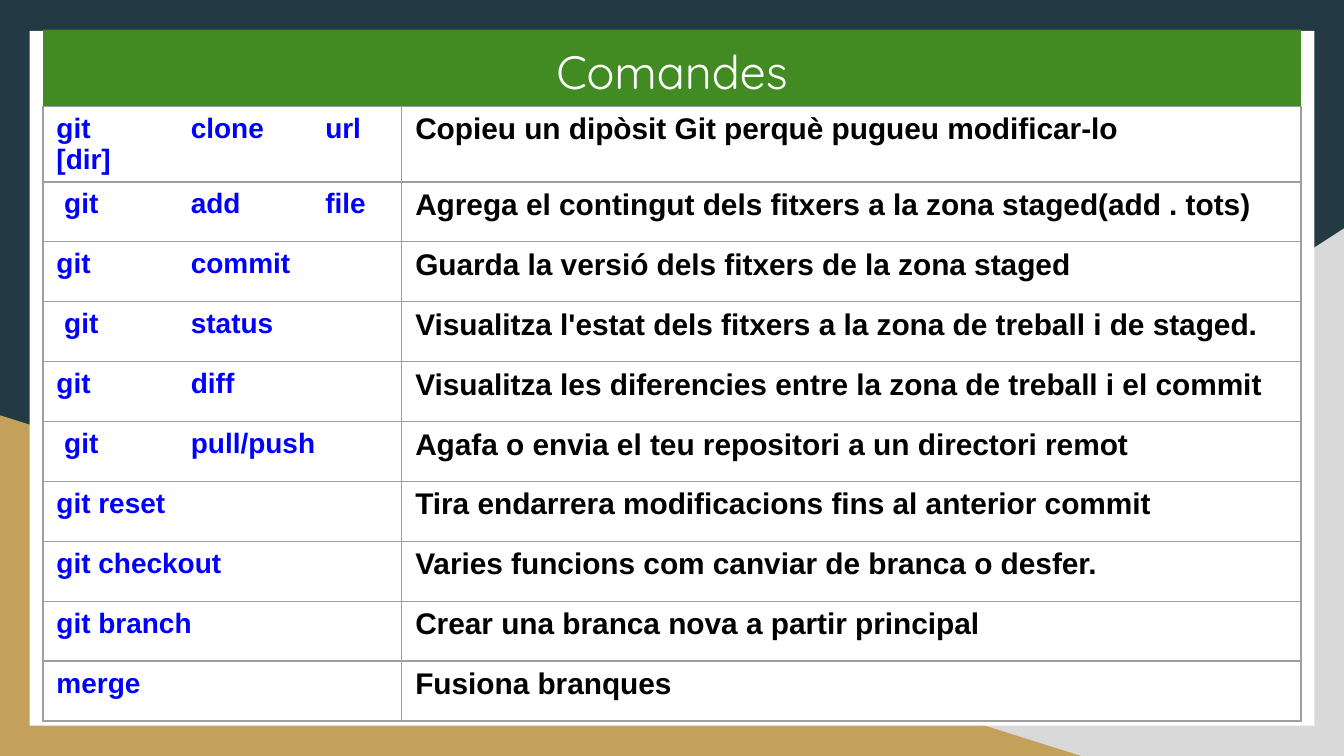
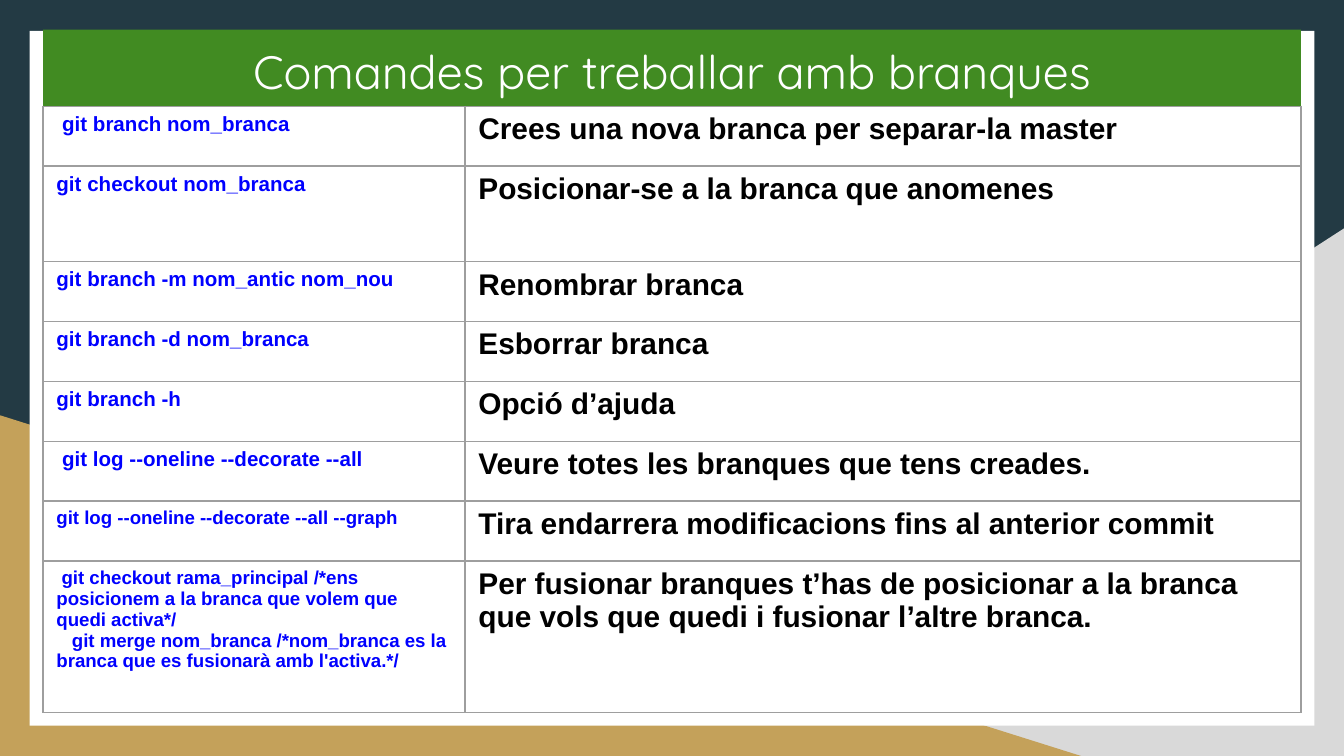
from pptx import Presentation
from pptx.dml.color import RGBColor
from pptx.enum import shapes, text
from pptx.oxml import parse_xml
from pptx.oxml.ns import nsdecls
from pptx.util import Inches, Pt

NAVY, GREY, GOLD, WHITE = "233A44", "D9D9D9", "C4A15A", "FFFFFF"
GREEN, BLUE, BLACK, BORDER = "418B22", "0000FF", "000000", "9E9E9E"
TITLE_FONT, TABLE_FONT = "Quicksand", "Arial"

LEFT, TITLE_TOP, WIDTH, TITLE_HEIGHT = 0.32, 0.22, 9.36, 0.57
ROW_HEIGHT = 4.46 / 10
DESCRIPTION_SIZE = 16

TRIANGLE = shapes.MSO_SHAPE.RIGHT_TRIANGLE
# preset, (left, top, width, height), colour, mirrored
BACKDROP = [
    (TRIANGLE, (3.92, 1.7, 6.08, 3.93), GREY, True),
    (TRIANGLE, (0, 3.09, 8.06, 2.54), GOLD, False),
    (shapes.MSO_SHAPE.RECTANGLE, (0.22, 0.23, 9.56, 5.17), WHITE, False),
]

# "sizes" and "heights" list only the rows that differ from the usual ones
SLIDES = [
    {
        "title": "Comandes",
        "command_width": 2.67,
        "command_size": 15,
        "sizes": {},
        "heights": {},
        "rows": [
            ("git\tclone\turl\t[dir]", "Copieu un dipòsit Git perquè pugueu modificar-lo"),
            (" git\tadd\tfile", "Agrega el contingut dels fitxers a la zona staged(add . tots)"),
            ("git\tcommit", "Guarda la versió dels fitxers de la zona staged"),
            (" git\tstatus", "Visualitza l'estat dels fitxers a la zona de treball i de staged."),
            ("git\tdiff", "Visualitza les diferencies entre la zona de treball i el commit"),
            (" git\tpull/push", "Agafa o envia el teu repositori a un directori remot"),
            ("git reset", "Tira endarrera modificacions fins al anterior commit"),
            ("git checkout", "Varies funcions com canviar de branca o desfer."),
            ("git branch", "Crear una branca nova a partir principal"),
            ("merge", "Fusiona branques"),
        ],
    },
    {
        "title": "Comandes per treballar amb branques",
        "command_width": 3.14,
        "command_size": 11,
        "sizes": {6: 10, 7: 10},
        "heights": {1: 0.71, 7: 1.13},
        "rows": [
            (" git branch nom_branca", "Crees una nova branca per separar-la master"),
            ("git checkout nom_branca", "Posicionar-se a la branca que anomenes"),
            ("git branch -m nom_antic nom_nou", "Renombrar branca"),
            ("git branch -d nom_branca", "Esborrar branca"),
            ("git branch -h", "Opció d’ajuda"),
            (" git log --oneline --decorate --all", "Veure totes les branques que tens creades."),
            ("git log --oneline --decorate --all --graph",
             "Tira endarrera modificacions fins al anterior commit"),
            (" git checkout rama_principal /*ens posicionem a la branca que volem que quedi activa*/\n"
             "   git merge nom_branca /*nom_branca es la branca que es fusionarà amb l'activa.*/",
             "Per fusionar branques t’has de posicionar a la branca que vols que quedi "
             "i fusionar l’altre branca."),
        ],
    },
]


def paint(fill, colour):
    fill.solid()
    fill.fore_color.rgb = RGBColor.from_string(colour)


def style_text(frame, font_name, size, colour, bold, align):
    for paragraph in frame.paragraphs:
        paragraph.alignment = align
        paragraph._p.get_or_add_pPr().append(parse_xml(
            f'<a:tabLst {nsdecls("a")}><a:tab pos="0" algn="l"/></a:tabLst>'))
        for run in paragraph.runs:
            run.font.name = font_name
            run.font.size = Pt(size)
            run.font.bold = bold
            run.font.color.rgb = RGBColor.from_string(colour)


def set_default_tabs(deck, distance):
    for root in (deck.element, deck.slide_master.element):
        for style in root.xpath(".//*[@defTabSz]"):
            style.set("defTabSz", str(distance))


def add_backdrop(slide):
    """Draw the shared backdrop and move it to the slide's layout, behind its placeholders."""
    layout = slide.slide_layout
    paint(layout.background.fill, NAVY)
    for position, (preset, box, colour, mirrored) in enumerate(BACKDROP):
        part = slide.shapes.add_shape(preset, *map(Inches, box))
        part.shadow.inherit = False
        paint(part.fill, colour)
        part.line.fill.background()
        if mirrored:
            part._element.spPr.xfrm.set("flipH", "1")
        layout.shapes._spTree.insert(2 + position, part._element)


def add_title(slide, wording):
    title = slide.shapes.title
    title.left, title.top = Inches(LEFT), Inches(TITLE_TOP)
    title.width, title.height = Inches(WIDTH), Inches(TITLE_HEIGHT)
    paint(title.fill, GREEN)
    frame = title.text_frame
    frame.text = wording
    frame.word_wrap = True
    frame.auto_size = text.MSO_AUTO_SIZE.NONE
    frame.vertical_anchor = text.MSO_ANCHOR.TOP
    frame.margin_left = frame.margin_right = Inches(0.1)
    frame.margin_top = frame.margin_bottom = Inches(0.1)
    style_text(frame, TITLE_FONT, 25, WHITE, False, text.PP_ALIGN.CENTER)


def add_borders(cell):
    properties = cell._tc.get_or_add_tcPr()
    for position, side in enumerate(("lnL", "lnR", "lnT", "lnB")):
        properties.insert(position, parse_xml(
            f'<a:{side} {nsdecls("a")} w="{Pt(0.75)}"><a:solidFill>'
            f'<a:srgbClr val="{BORDER}"/></a:solidFill></a:{side}>'))


def add_commands(slide, content):
    rows = content["rows"]
    heights = [content["heights"].get(i, ROW_HEIGHT) for i in range(len(rows))]
    table = slide.shapes.add_table(
        len(rows), 2, Inches(LEFT), Inches(TITLE_TOP + TITLE_HEIGHT),
        Inches(WIDTH), Inches(sum(heights))).table
    table.first_row = table.horz_banding = False
    table.columns[0].width = Inches(content["command_width"])
    table.columns[1].width = Inches(WIDTH - content["command_width"])
    for i, row in enumerate(rows):
        table.rows[i].height = Inches(heights[i])
        command_size = content["sizes"].get(i, content["command_size"])
        looks = [(command_size, BLUE), (DESCRIPTION_SIZE, BLACK)]
        for j, (wording, (size, colour)) in enumerate(zip(row, looks)):
            cell = table.cell(i, j)
            cell.text = wording
            cell.fill.background()
            cell.margin_left = cell.margin_right = Inches(0.1)
            cell.margin_top = cell.margin_bottom = Inches(0.05)
            style_text(cell.text_frame, TABLE_FONT, size, colour, True, text.PP_ALIGN.LEFT)
            add_borders(cell)


def main():
    deck = Presentation()
    deck.slide_width = Inches(10)
    deck.slide_height = deck.slide_width * 9 // 16
    set_default_tabs(deck, Inches(1))
    title_only = deck.slide_layouts[5]
    for number, content in enumerate(SLIDES):
        slide = deck.slides.add_slide(title_only)
        if number == 0:
            add_backdrop(slide)
        add_title(slide, content["title"])
        add_commands(slide, content)
    deck.save("out.pptx")


if __name__ == "__main__":
    main()
